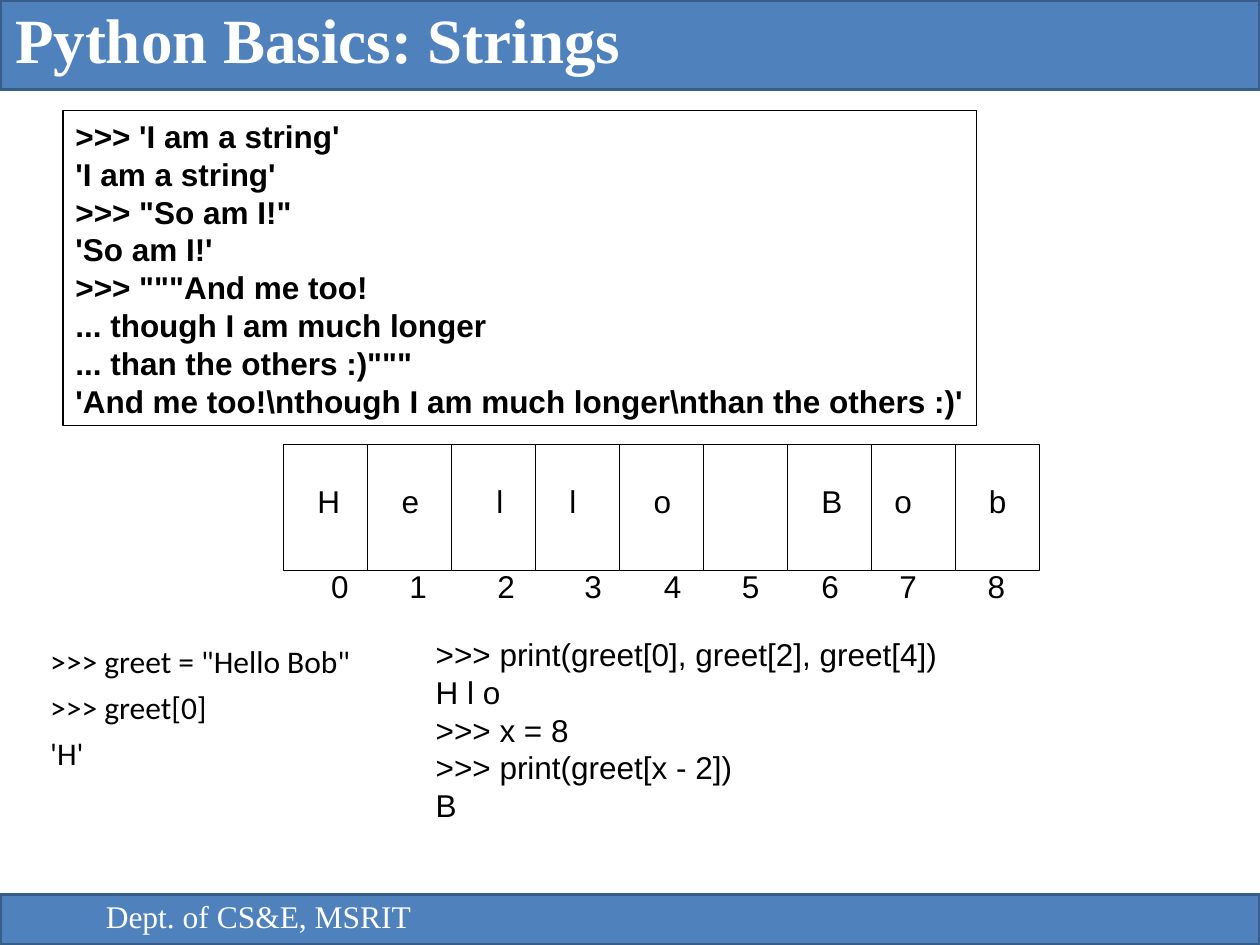
"""Build a slide on Python string basics with an indexed character strip."""
from lxml import etree
from pptx import Presentation
from pptx.dml.color import RGBColor
from pptx.enum import shapes, text
from pptx.oxml import ns
from pptx.util import Inches, Pt

COLORS = {"bar": "4F81BC", "edge": "385D89", "ink": "000000", "light": "FFFFFF"}


def add_rectangle(left, top, width, height, fill, line, weight):
    box = page.shapes.add_shape(shapes.MSO_SHAPE.RECTANGLE, Inches(left), Inches(top),
                                Inches(width), Inches(height))
    box.shadow.inherit = False
    if fill:
        box.fill.solid()
        box.fill.fore_color.rgb = RGBColor.from_string(COLORS[fill])
    else:
        box.fill.background()
    box.line.color.rgb = RGBColor.from_string(COLORS[line])
    box.line.width = Pt(weight)
    return box


def write(box, lines, font="Arial", size=18, color="ink", bold=False,
          insets=(0.1, 0.05), gap=0, wrap=True):
    frame = box.text_frame
    frame.word_wrap = wrap
    frame.vertical_anchor = text.MSO_ANCHOR.TOP
    frame.margin_left, frame.margin_top = Inches(insets[0]), Inches(insets[1])
    frame.margin_right, frame.margin_bottom = Inches(0.1), Inches(0.05)
    for number, line in enumerate(lines):
        para = frame.add_paragraph() if number else frame.paragraphs[0]
        para.alignment = text.PP_ALIGN.LEFT
        if number:
            para.space_before = Pt(gap)
        span = para.add_run()
        span.text = line
        span.font.name = font
        span.font.size = Pt(size)
        span.font.bold = bold
        span.font.color.rgb = RGBColor.from_string(COLORS[color])


deck = Presentation()
deck.slide_width, deck.slide_height = Inches(10), Inches(7.5)
page = deck.slides.add_slide(deck.slide_layouts[6])

footer = add_rectangle(0, 7.1, 10, 0.4, "bar", "edge", 2)
write(footer, ["Dept. of CS&E, MSRIT"], "Times New Roman", color="light", insets=(0.84, 0.02))
header = add_rectangle(0, 0, 10, 0.71, "bar", "edge", 2)
write(header, ["Python Basics: Strings"], "Times New Roman", 36, "light", True, (0.12, 0))

literals = add_rectangle(0.5, 0.88, 7.25, 2.5, None, "ink", 0.75)
write(literals, [
    ">>> 'I am a string'",
    "'I am a string'",
    '>>> "So am I!"',
    "'So am I!'",
    '>>> """And me too!',
    "... though I am much longer",
    '... than the others :)"""',
    r"'And me too!\nthough I am much longer\nthan the others :)'",
], bold=True)

strip_left, strip_top, strip_width, strip_height, cells = 2.25, 3.53, 6, 1, 9
add_rectangle(strip_left, strip_top, strip_width, strip_height, None, "ink", 0.75)
for cell in range(1, cells):
    x = Inches(strip_left + cell * strip_width / cells)
    divider = page.shapes.add_connector(shapes.MSO_CONNECTOR.STRAIGHT, x, Inches(strip_top),
                                        x, Inches(strip_top + strip_height))
    divider.line.color.rgb = RGBColor.from_string(COLORS["ink"])
    divider.line.width = Pt(0.75)
    etree.SubElement(divider.element.spPr, ns.qn("a:effectLst"))

letters = [("H", 2.42, 0.38), ("e", 3.09, 0.34), ("l", 3.84, 0.25), ("l", 4.42, 0.25),
           ("o", 5.09, 0.34), ("B", 6.42, 0.36), ("o", 7, 0.34), ("b", 7.75, 0.34)]
for letter, left, width in letters:
    box = page.shapes.add_textbox(Inches(left), Inches(3.78), Inches(width), Inches(0.4))
    write(box, [letter], wrap=False)

indexes = page.shapes.add_textbox(Inches(strip_left), Inches(4.45), Inches(strip_width), Inches(0.4))
write(indexes, ["".join(f"\t{cell}" for cell in range(cells))])
tabs = etree.SubElement(indexes.text_frame.paragraphs[0]._p.get_or_add_pPr(), ns.qn("a:tabLst"))
for stop in (0.28, 0.9, 1.6, 2.29, 2.92, 3.54, 4.17, 4.79, 5.49):
    etree.SubElement(tabs, ns.qn("a:tab"), pos=str(Inches(stop)), algn="l")

greeting = page.shapes.add_textbox(Inches(0.3), Inches(5.05), Inches(2.79), Inches(1.4))
write(greeting, ['>>> greet = "Hello Bob"', ">>> greet[0]", "'H'"], "Calibri", gap=4.5)

printing = page.shapes.add_textbox(Inches(3.36), Inches(4.99), Inches(5), Inches(1.6))
write(printing, [
    ">>> print(greet[0], greet[2], greet[4])",
    "H l o",
    ">>> x = 8",
    ">>> print(greet[x - 2])",
    "B",
])

deck.save("out.pptx")
